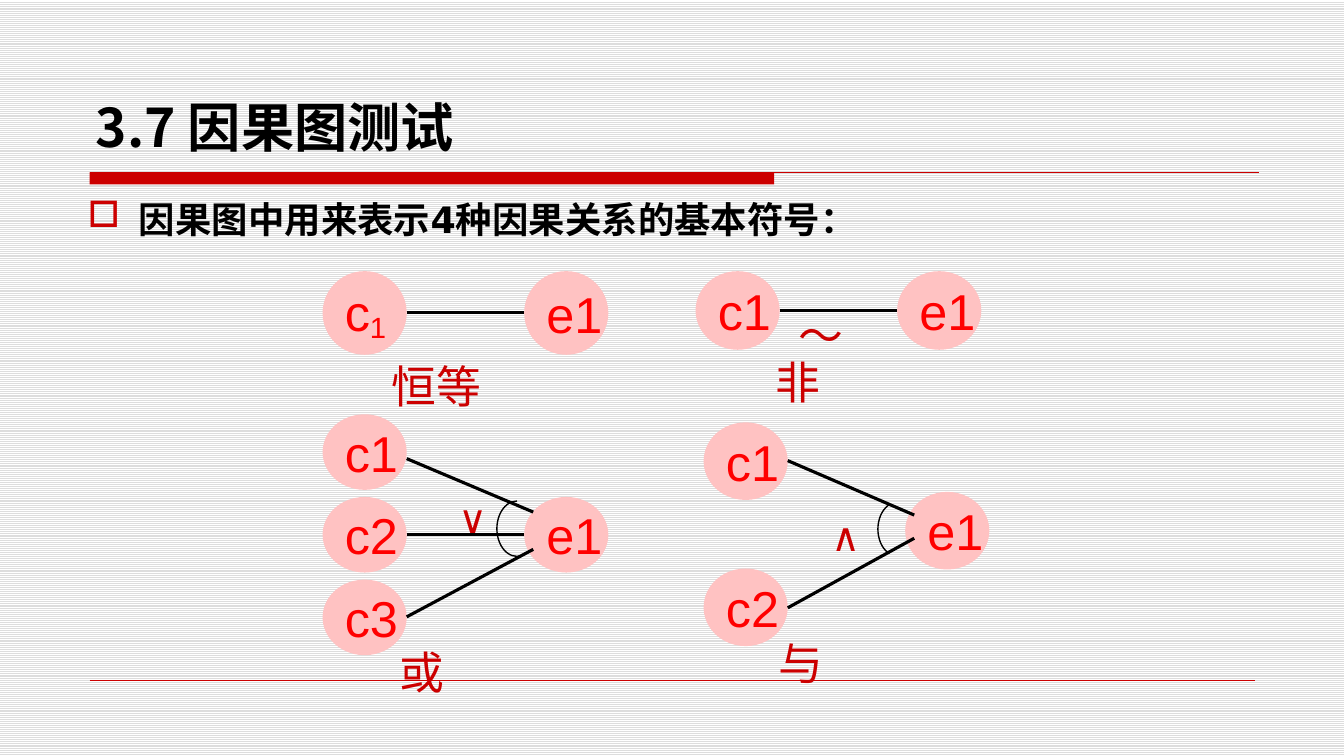
from lxml import etree
from pptx import Presentation
from pptx import util as u
from pptx.dml.color import RGBColor
from pptx.enum import dml, shapes, text
from pptx.oxml.ns import qn

# Grid: square cells, ten to the inch
CELL = u.Inches(0.1)
COLS, ROWS = 133.33, 75

RED = RGBColor(0xCC, 0x00, 0x00)
NODE_TEXT = RGBColor(0xFF, 0x00, 0x00)
NODE_FILL = RGBColor(0xFF, 0xC2, 0xC2)
BLACK = RGBColor(0x00, 0x00, 0x00)
WHITE = RGBColor(0xFF, 0xFF, 0xFF)
STRIPE = RGBColor(0xDD, 0xDD, 0xDD)

CJK = "Noto Sans CJK SC"
SANS = "DejaVu Sans"

NODE_W = 8.35    # node width
EFFECT_DX = 20   # distance from cause column to effect column
SLANT_DX = 20.9  # where slanted links meet the effect

# column, node height, causes (name, row, link start, link end), effect row
RELATIONS = [
    (32, 8.3, [("c₁", 26.9, 31, 31)], 26.9),
    (69, 7.8, [("c1", 26.9, 30.8, 30.8)], 26.9),
    (32, 7.5, [("c1", 41.1, 45.5, 50.8), ("c2", 49.3, 53, 53),
               ("c3", 57.5, 61.2, 54.5)], 49.3),
    (69.8, 7.7, [("c1", 41.9, 45.7, 51.1), ("c2", 56.4, 60.3, 53.4)], 48.8),
]

# text, column, row, width, height, size
LABELS = [
    ("恒等", 37.9, 35.1, 15, 6.4, 32),
    ("非", 76, 34.7, 15, 6.4, 32),
    ("～", 78.2, 30, 9.2, 6.4, 32),
    ("或", 38.7, 63.5, 15, 6.4, 32),
    ("与", 76.3, 62.6, 15, 6.4, 32),
    ("∨", 44.5, 48.5, 5.8, 5.7, 28),
    ("∧", 81.5, 50.3, 5.8, 5.7, 28),
]

# column, row, width, height, start and end angle
ARCS = [(49.3, 49.7, 4, 5.5, 80, 270), (87.1, 49.8, 4, 5.4, 110, 252)]


def cells(*lengths):
    return [round(n * CELL) for n in lengths]


def write(tf, words, size, color, font=SANS, bold=False,
          anchor=text.MSO_ANCHOR.TOP, align=text.PP_ALIGN.LEFT, wrap=True):
    """Write one paragraph; a subscript one is set as a lowered run."""
    tf.word_wrap = wrap
    tf.vertical_anchor = anchor
    p = tf.paragraphs[0]
    p.alignment = align
    base, low, _ = words.partition("₁")
    for part in [base] + (["1"] if low else []):
        r = p.add_run()
        r.text = part
        r.font.size, r.font.bold, r.font.name = u.Pt(size), bold, font
        r.font.color.rgb = color
        rpr = r.font._element
        etree.SubElement(rpr, qn("a:ea")).set("typeface", CJK)
    if low:
        rpr.set("baseline", "-14000")
    return p


def add_text(s, words, x, y, w, h, size, color, **fmt):
    box = s.shapes.add_textbox(*cells(x, y, w, h))
    return write(box.text_frame, words, size, color, **fmt)


def add_filled(s, kind, x, y, w, h, color):
    sp = s.shapes.add_shape(kind, *cells(x, y, w, h))
    sp.shadow.inherit = False
    sp.fill.solid()
    sp.fill.fore_color.rgb = color
    sp.line.fill.background()
    return sp


def add_node(s, name, x, y, h):
    sp = add_filled(s, shapes.MSO_SHAPE.OVAL, x, y, NODE_W, h, NODE_FILL)
    write(sp.text_frame, name, 36, NODE_TEXT, font="Arial",
          anchor=text.MSO_ANCHOR.MIDDLE, wrap=False)


def add_line(s, x1, y1, x2, y2, color=BLACK, width=2.25):
    ln = s.shapes.add_connector(shapes.MSO_CONNECTOR.STRAIGHT,
                                *cells(x1, y1, x2, y2))
    ln.line.color.rgb = color
    ln.line.width = u.Pt(width)
    etree.SubElement(ln._element.spPr, qn("a:effectLst"))


def add_arc(s, x, y, w, h, start, end):
    sp = s.shapes.add_shape(shapes.MSO_SHAPE.ARC, *cells(x, y, w, h))
    sp.shadow.inherit = False
    sp.fill.background()
    sp.line.color.rgb = BLACK
    sp.line.width = u.Pt(1)
    for i, angle in enumerate((start, end)):
        sp.adjustments[i] = angle * 0.6  # 60000ths of a degree / 100000


def add_bullet(p, char, color, indent):
    ppr = p._p.get_or_add_pPr()
    ppr.set("marL", str(indent))
    ppr.set("indent", str(-indent))
    clr = etree.SubElement(ppr, qn("a:buClr"))
    etree.SubElement(clr, qn("a:srgbClr")).set("val", str(color))
    etree.SubElement(ppr, qn("a:buChar")).set("char", char)


def add_relation(s, x, h, causes, effect_y):
    for name, y, start, end in causes:
        add_node(s, name, x, y, h)
    add_node(s, "e1", x + EFFECT_DX, effect_y, h)
    for _, _, start, end in causes:
        reach = EFFECT_DX if start == end else SLANT_DX
        add_line(s, x + NODE_W, start, x + reach, end)


def main():
    prs = Presentation()
    prs.slide_width, prs.slide_height = cells(COLS, ROWS)
    s = prs.slides.add_slide(prs.slide_layouts[6])

    # Striped background
    fill = s.background.fill
    fill.patterned()
    fill.pattern = dml.MSO_PATTERN.LIGHT_HORIZONTAL
    fill.fore_color.rgb, fill.back_color.rgb = STRIPE, WHITE

    # Title bar and footer rule
    add_filled(s, shapes.MSO_SHAPE.RECTANGLE, 8.9, 17.1, 67.9, 1.2, RED)
    add_line(s, 8.9, 17.1, 124.9, 17.1, RED, 0.75)
    add_line(s, 8.9, 67.5, 124.5, 67.5, RED, 0.25)

    # Title and lead sentence
    add_text(s, "3.7 因果图测试", 8.5, 2.9, 87.5, 13.3, 38, BLACK, font=CJK,
             bold=True, anchor=text.MSO_ANCHOR.BOTTOM)
    p = add_text(s, "因果图中用来表示4种因果关系的基本符号：", 7.7, 17.8, 85.8,
                 8.7, 26, BLACK, bold=True, align=text.PP_ALIGN.JUSTIFY)
    p.line_spacing = 1.3
    add_bullet(p, "□", RED, u.Inches(0.51))

    # Cause-effect diagrams
    for relation in RELATIONS:
        add_relation(s, *relation)
    for arc in ARCS:
        add_arc(s, *arc)
    for label in LABELS:
        add_text(s, *label, RED)

    prs.save("out.pptx")


main()
